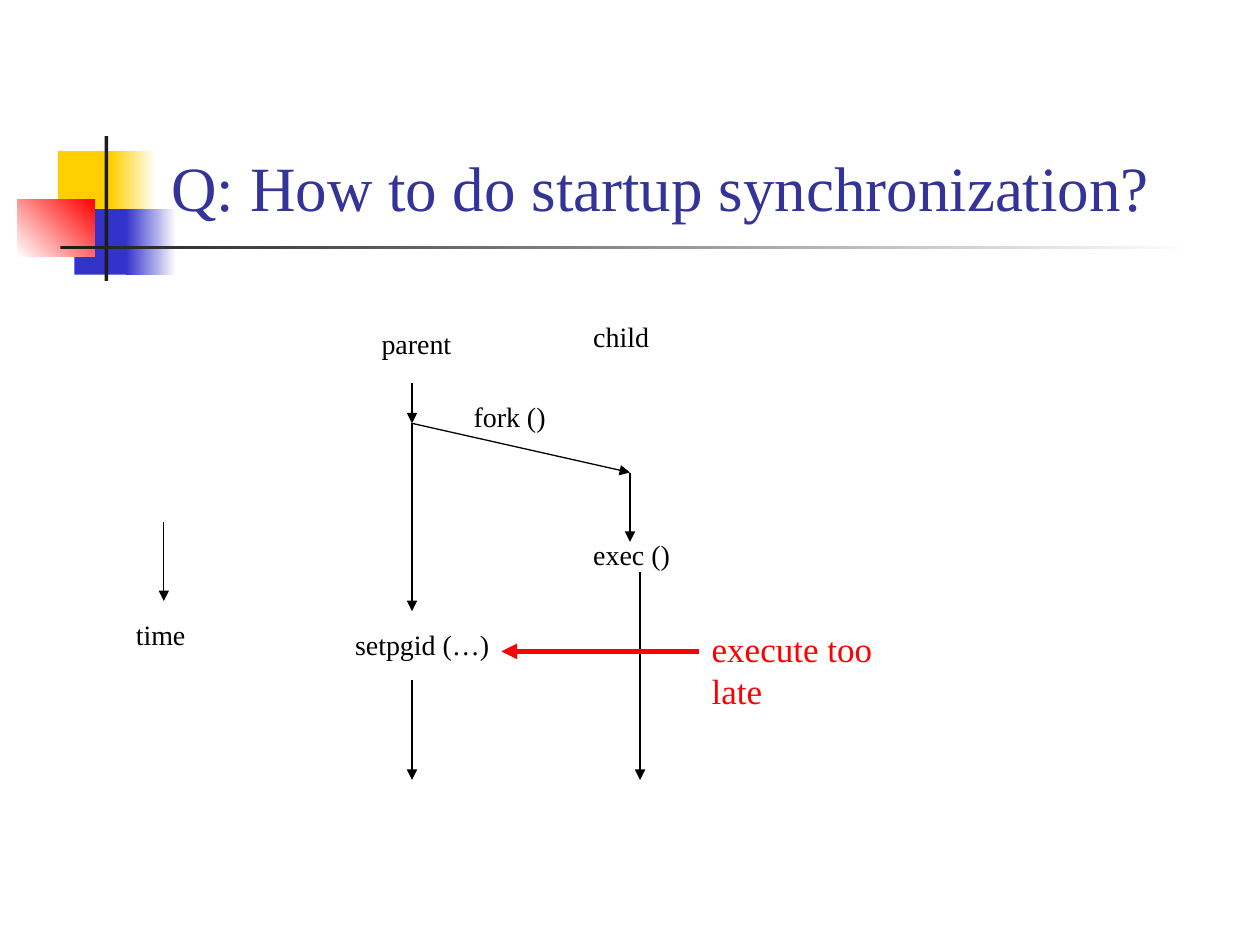
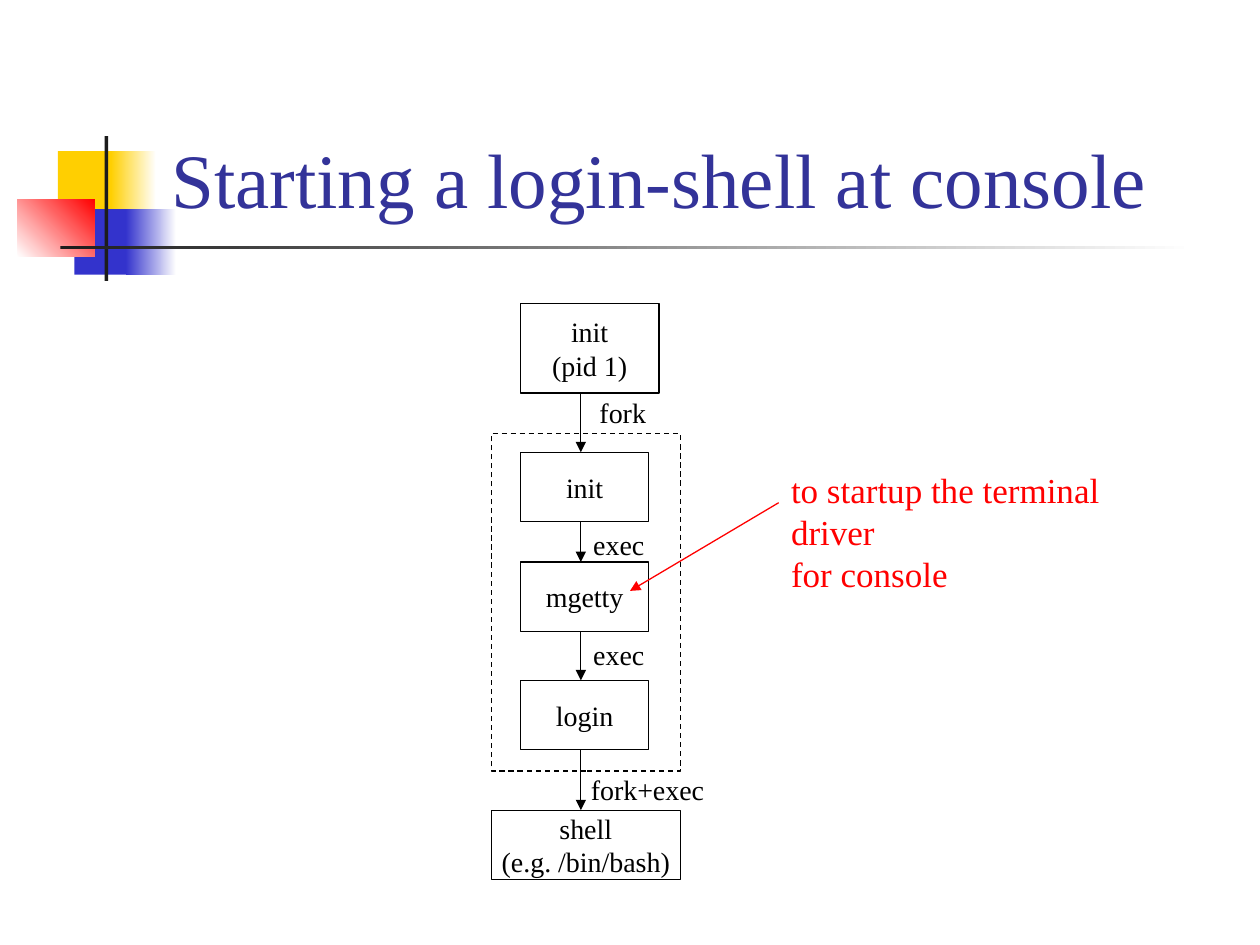
from pptx import Presentation
from pptx.dml.color import RGBColor
from pptx.enum.dml import MSO_LINE
from pptx.enum.shapes import MSO_CONNECTOR as CONN, MSO_SHAPE as SHAPE
from pptx.enum.text import MSO_ANCHOR as ANCHOR, MSO_AUTO_SIZE as AUTO, PP_ALIGN as ALIGN
from pptx.oxml.ns import qn
from pptx.util import Inches, Pt
from lxml import etree

FONT = "Times New Roman"
BLACK, WHITE, RED = "000000", "FFFFFF", "FF0000"
YELLOW, BLUE, DARK, TITLE = "FFCF01", "3333CC", "1C1C1C", "333399"

MOTIF = [
    (0.46, 1.2, 0.48, 0.52, [YELLOW], 0),
    (0.88, 1.2, 0.36, 0.52, [YELLOW, WHITE], 0),
    (0.59, 1.66, 0.46, 0.52, [BLUE], 0),
    (1, 1.66, 0.4, 0.52, [BLUE, WHITE], 0),
    (0.14, 1.58, 0.61, 0.46, [WHITE, RED], 45),
    (0.83, 1.08, 0.03, 1.15, [DARK], 0),
    (0.48, 1.95, 9, 0.03, [DARK, WHITE], 0),
]


def rgb(color):
    return RGBColor.from_string(color)


class Deck:
    """Hold the shared style and the current slide."""

    def __init__(self):
        self.prs = Presentation()
        self.prs.slide_width, self.prs.slide_height = Inches(10), Inches(7.5)

    def new_slide(self, title, size):
        self.s = self.prs.slides.add_slide(self.prs.slide_layouts[5])
        for x, y, w, h, colors, angle in MOTIF:
            self.block(x, y, w, h, colors, angle)
        sp = self.s.shapes.title
        sp.left, sp.top = Inches(1.26), Inches(0.23)
        sp.width, sp.height = Inches(8.52), Inches(1.6)
        self.set_text(sp.text_frame, title, size, TITLE, ALIGN.LEFT, ANCHOR.BOTTOM, True)

    def set_text(self, tf, text, size, color, align, anchor, wrap):
        tf.text = text
        tf.word_wrap, tf.auto_size, tf.vertical_anchor = wrap, AUTO.NONE, anchor
        for p in tf.paragraphs:
            p.alignment = align
            p.font.name, p.font.size = FONT, Pt(size)
            p.font.color.rgb = rgb(color)

    def rect(self, x, y, w, h):
        sp = self.s.shapes.add_shape(SHAPE.RECTANGLE, Inches(x), Inches(y), Inches(w), Inches(h))
        sp.shadow.inherit = False
        return sp

    def block(self, x, y, w, h, colors, angle):
        sp = self.rect(x, y, w, h)
        sp.line.fill.background()
        if len(colors) == 1:
            sp.fill.solid()
            sp.fill.fore_color.rgb = rgb(colors[0])
        else:
            sp.fill.gradient()
            sp.fill.gradient_angle = angle
            for stop, color in zip(sp.fill.gradient_stops, colors):
                stop.color.rgb = rgb(color)

    def box(self, x, y, w, h, text="", dash=None):
        sp = self.rect(x, y, w, h)
        sp.fill.background()
        sp.line.color.rgb = rgb(BLACK)
        sp.line.width = Pt(0.75)
        if dash:
            sp.line.dash_style = dash
        if text:
            self.set_text(sp.text_frame, text, 16, BLACK, ALIGN.CENTER, ANCHOR.MIDDLE, False)

    def label(self, x, y, w, text, h=0.37, size=16, color=BLACK, wrap=False):
        sp = self.s.shapes.add_textbox(Inches(x), Inches(y), Inches(w), Inches(h))
        self.set_text(sp.text_frame, text, size, color, ALIGN.LEFT, ANCHOR.TOP, wrap)

    def note(self, x, y, w, h, text):
        self.label(x, y, w, text, h, 20, RED, True)

    def arrow(self, x1, y1, x2, y2, color=BLACK, width=0.75):
        c = self.s.shapes.add_connector(CONN.STRAIGHT, Inches(x1), Inches(y1), Inches(x2), Inches(y2))
        c.line.color.rgb = rgb(color)
        c.line.width = Pt(width)
        sp_pr = c._element.spPr
        etree.SubElement(sp_pr.get_or_add_ln(), qn("a:tailEnd"), type="triangle")
        etree.SubElement(sp_pr, qn("a:effectLst"))


def synchronization_slide(deck):
    deck.new_slide("Q: How to do startup synchronization?", 36)
    parent_x, child_x, exec_x = 3.27, 5, 5.08
    for x, y, w, text in [
        (0.98, 4.85, 0.6, "time"),
        (2.93, 2.54, 0.76, "parent"),
        (4.61, 2.49, 0.65, "child"),
        (3.66, 3.12, 0.78, "fork ()"),
        (4.61, 4.22, 0.81, "exec ()"),
        (2.72, 4.93, 1.27, "setpgid (…)"),
    ]:
        deck.label(x, y, w, text)
    for x, top, bottom in [
        (1.3, 4.14, 4.77),
        (parent_x, 3.04, 3.36),
        (parent_x, 3.36, 4.85),
        (parent_x, 5.4, 6.19),
        (child_x, 3.75, 4.3),
        (exec_x, 4.54, 6.19),
    ]:
        deck.arrow(x, top, x, bottom)
    deck.arrow(parent_x, 3.36, child_x, 3.75)
    deck.note(5.55, 4.93, 1.7, 0.77, "execute too late")
    deck.arrow(5.55, 5.17, 3.98, 5.17, RED, 3)


def login_shell_slide(deck):
    deck.new_slide("Starting a login-shell at console", 44)
    processes = [
        (4.13, 2.41, 1.1, 0.71, "init\n(pid 1)"),
        (4.13, 3.59, 1.02, 0.55, "init"),
        (4.13, 4.46, 1.02, 0.55, "mgetty"),
        (4.13, 5.4, 1.02, 0.55, "login"),
        (3.9, 6.43, 1.5, 0.55, "shell\n(e.g. /bin/bash)"),
    ]
    calls = [
        (4.66, 3.09, 0.57, "fork"),
        (4.61, 4.14, 0.61, "exec"),
        (4.61, 5.01, 0.61, "exec"),
        (4.59, 6.08, 1.11, "fork+exec"),
    ]
    for process in processes:
        deck.box(*process)
    deck.box(3.9, 3.44, 1.5, 2.68, dash=MSO_LINE.DASH)
    for (_, y, _, h, _), (_, next_y, *_), call in zip(processes, processes[1:], calls):
        deck.arrow(4.61, y + h, 4.61, next_y)
        deck.label(*call)
    deck.note(6.18, 3.67, 3.2, 1.1, "to startup the terminal driver\nfor console")
    deck.arrow(6.18, 3.99, 5, 4.69, RED)


def main():
    deck = Deck()
    synchronization_slide(deck)
    login_shell_slide(deck)
    deck.prs.save("out.pptx")


if __name__ == "__main__":
    main()
